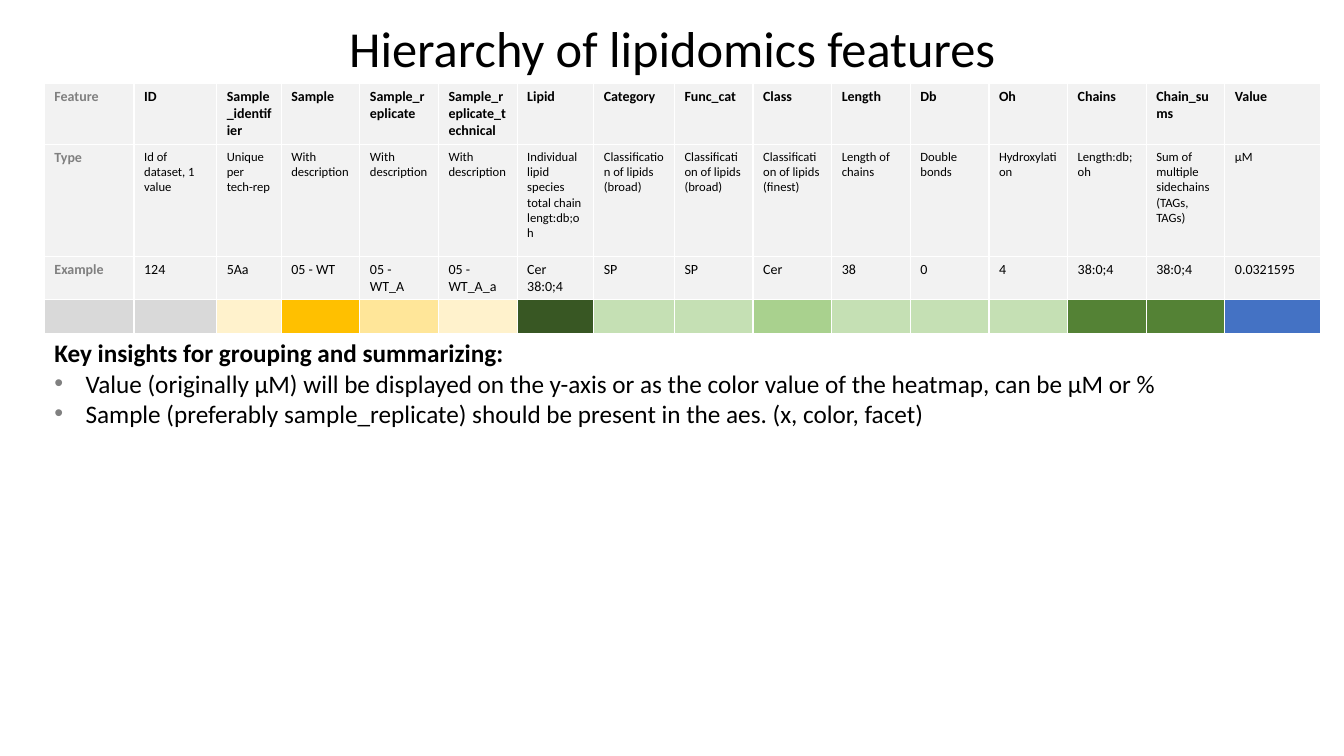
from dataclasses import dataclass

from lxml.etree import SubElement
from pptx import Presentation
from pptx.dml.color import RGBColor
from pptx.enum.text import MSO_ANCHOR, MSO_AUTO_SIZE, PP_ALIGN
from pptx.oxml.ns import qn
from pptx.slide import Slide
from pptx.table import _Cell
from pptx.text.text import TextFrame, _Paragraph
from pptx.util import Emu, Inches, Pt


@dataclass(frozen=True)
class Theme:
    font: str = "Calibri"
    text: str = "000000"
    muted: str = "808080"
    border: str = "FFFFFF"
    cell: str = "F2F2F2"
    gray: str = "D9D9D9"
    pale_gold: str = "FFF2CC"
    light_gold: str = "FFE699"
    gold: str = "FFC000"
    pale_green: str = "C5E0B4"
    light_green: str = "A9D18E"
    green: str = "548235"
    dark_green: str = "385723"
    blue: str = "4472C4"
    title_size: int = 36
    insight_size: int = 18
    label_size: int = 10
    type_size: int = 9
    border_width: int = 1


@dataclass(frozen=True)
class Area:
    column: float
    row: float
    columns: float
    rows: float

    def place(self) -> tuple[Emu, Emu, Emu, Emu]:
        return units(self.column), units(self.row), units(self.columns), units(self.rows)


@dataclass(frozen=True)
class Feature:
    name: str
    kind: str
    example: str
    color: str
    columns: float = 7.8


THEME = Theme()
GRID_UNIT = Inches(0.1)
TITLE_AREA = Area(16.7, 1, 100, 7.3)
TABLE_AREA = Area(4.4, 8.3, 126.5, 24.7)
INSIGHT_AREA = Area(4.4, 33, 118.4, 13.1)
TABLE_ROWS = (5.3, 11.1, 3.3, 3.3)
BULLET_INDENT = 3.1

FEATURES = (
    Feature("Feature", "Type", "Example", THEME.gray, 8.9),
    Feature("ID", "Id of dataset, 1 value", "124", THEME.gray, 8.2),
    Feature("Sample_identifier", "Unique per tech-rep", "5Aa", THEME.pale_gold, 6.4),
    Feature("Sample", "With description", "05 - WT", THEME.gold),
    Feature("Sample_replicate", "With description", "05 - WT_A", THEME.light_gold),
    Feature("Sample_replicate_technical", "With description", "05 - WT_A_a", THEME.pale_gold),
    Feature("Lipid", "Individual lipid species total chain lengt:db;oh", "Cer 38:0;4",
            THEME.dark_green, 7.6),
    Feature("Category", "Classification of lipids (broad)", "SP", THEME.pale_green, 8),
    Feature("Func_cat", "Classification of lipids\n(broad)", "SP", THEME.pale_green),
    Feature("Class", "Classification of lipids\n(finest)", "Cer", THEME.light_green),
    Feature("Length", "Length of chains", "38", THEME.pale_green),
    Feature("Db", "Double bonds", "0", THEME.pale_green),
    Feature("Oh", "Hydroxylation", "4", THEME.pale_green),
    Feature("Chains", "Length:db;oh", "38:0;4", THEME.green),
    Feature("Chain_sums", "Sum of multiple sidechains (TAGs, TAGs)", "38:0;4", THEME.green),
    Feature("Value", "µM", "0.0321595", THEME.blue, 9.5),
)

INSIGHTS_HEADING = "Key insights for grouping and summarizing:"
INSIGHTS = (
    "Value (originally µM) will be displayed on the y-axis or as the color value"
    " of the heatmap, can be µM or %",
    "Sample (preferably sample_replicate) should be present in the aes. (x, color, facet)",
)


def units(count: float) -> Emu:
    return Emu(round(count * GRID_UNIT))


def style(paragraph: _Paragraph, size: int, color: str = THEME.text, bold: bool = False) -> None:
    font = paragraph.font
    font.name = THEME.font
    font.size = Pt(size)
    font.bold = bold
    font.color.rgb = RGBColor.from_string(color)


def add_bullet(paragraph: _Paragraph) -> None:
    properties = paragraph._p.get_or_add_pPr()
    properties.set("marL", str(units(BULLET_INDENT)))
    properties.set("indent", str(-units(BULLET_INDENT)))
    color = SubElement(properties, qn("a:buClr"))
    SubElement(color, qn("a:srgbClr"), val=THEME.muted)
    SubElement(properties, qn("a:buFont"), typeface="Arial")
    SubElement(properties, qn("a:buChar"), char="•")


def add_borders(cell: _Cell) -> None:
    properties = cell._tc.get_or_add_tcPr()
    for side in ("a:lnL", "a:lnR", "a:lnT", "a:lnB"):
        line = SubElement(properties, qn(side), w=str(Pt(THEME.border_width)))
        fill = SubElement(line, qn("a:solidFill"))
        SubElement(fill, qn("a:srgbClr"), val=THEME.border)


def add_text_frame(slide: Slide, area: Area) -> TextFrame:
    text_frame = slide.shapes.add_textbox(*area.place()).text_frame
    text_frame.word_wrap = True
    return text_frame


def add_title(slide: Slide) -> None:
    text_frame = add_text_frame(slide, TITLE_AREA)
    text_frame.vertical_anchor = MSO_ANCHOR.BOTTOM
    paragraph = text_frame.paragraphs[0]
    paragraph.text = "Hierarchy of lipidomics features"
    paragraph.alignment = PP_ALIGN.CENTER
    paragraph.line_spacing = 0.9
    style(paragraph, THEME.title_size)


def fill_cell(cell: _Cell, text: str, fill: str, size: int, color: str, bold: bool) -> None:
    add_borders(cell)
    cell.fill.solid()
    cell.fill.fore_color.rgb = RGBColor.from_string(fill)
    cell.text_frame.text = text
    for paragraph in cell.text_frame.paragraphs:
        style(paragraph, size, color, bold)


def add_feature_table(slide: Slide) -> None:
    shape = slide.shapes.add_table(len(TABLE_ROWS), len(FEATURES), *TABLE_AREA.place())
    table = shape.table
    table.first_row = False
    table.horz_banding = False
    for row, height in zip(table.rows, TABLE_ROWS):
        row.height = units(height)
    for column, feature in enumerate(FEATURES):
        table.columns[column].width = units(feature.columns)
        is_label = column == 0
        color = THEME.muted if is_label else THEME.text
        type_size = THEME.label_size if is_label else THEME.type_size
        contents = (
            (feature.name, THEME.cell, THEME.label_size, True),
            (feature.kind, THEME.cell, type_size, is_label),
            (feature.example, THEME.cell, THEME.label_size, is_label),
            ("", feature.color, THEME.label_size, False),
        )
        for row, (text, fill, size, bold) in enumerate(contents):
            fill_cell(table.cell(row, column), text, fill, size, color, bold)


def add_insights(slide: Slide) -> None:
    text_frame = add_text_frame(slide, INSIGHT_AREA)
    text_frame.auto_size = MSO_AUTO_SIZE.SHAPE_TO_FIT_TEXT
    heading = text_frame.paragraphs[0]
    heading.text = INSIGHTS_HEADING
    style(heading, THEME.insight_size, bold=True)
    for insight in INSIGHTS:
        paragraph = text_frame.add_paragraph()
        paragraph.text = insight
        add_bullet(paragraph)
        style(paragraph, THEME.insight_size)


def main() -> None:
    presentation = Presentation()
    presentation.slide_width = Inches(13.33)
    presentation.slide_height = Inches(7.5)
    slide = presentation.slides.add_slide(presentation.slide_layouts[6])
    add_title(slide)
    add_feature_table(slide)
    add_insights(slide)
    presentation.save("out.pptx")


if __name__ == "__main__":
    main()
